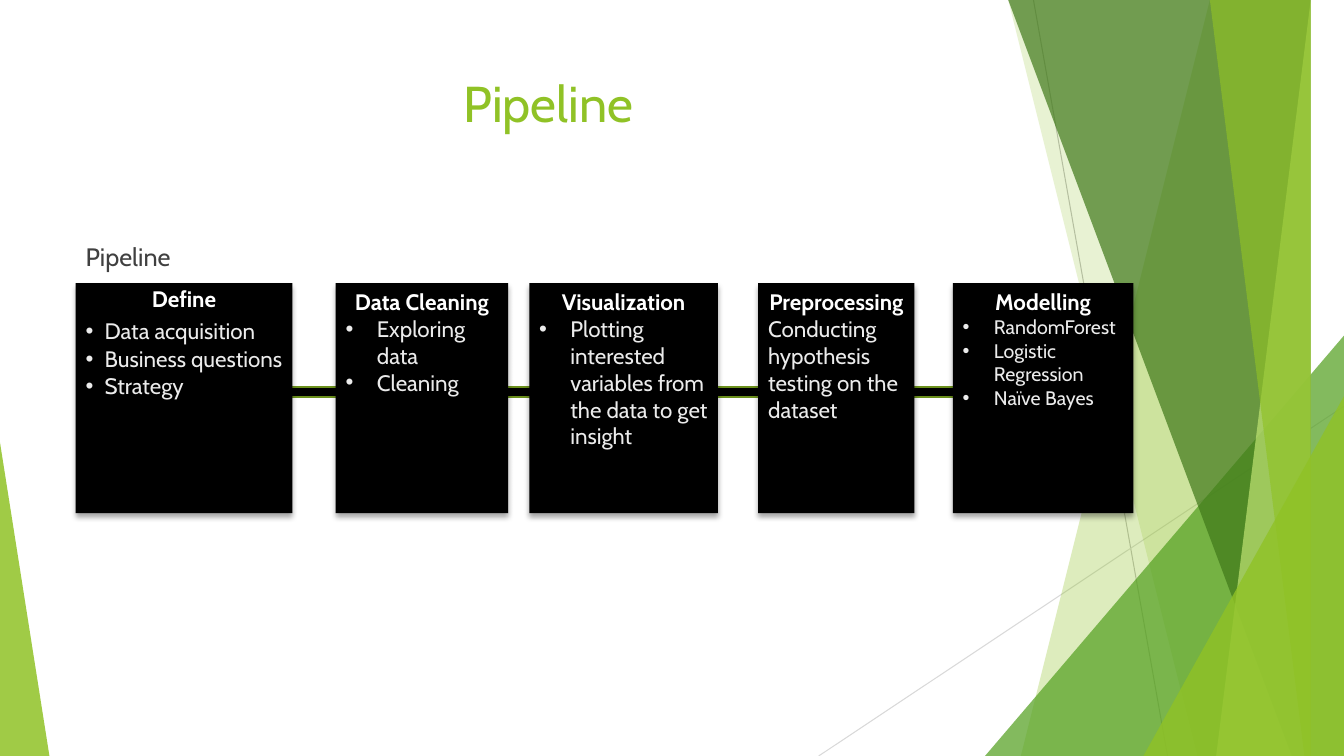
from lxml.etree import SubElement
from pptx import Presentation
from pptx.dml.color import RGBColor
from pptx.enum.shapes import MSO_CONNECTOR, MSO_SHAPE
from pptx.enum.text import MSO_ANCHOR, MSO_AUTO_SIZE, PP_ALIGN
from pptx.oxml.ns import qn
from pptx.util import Inches, Pt

FONT = "Cabin"
LIME = RGBColor(0x90, 0xC2, 0x26)
GREEN = RGBColor(0x54, 0xA0, 0x21)
FOREST = RGBColor(0x3F, 0x78, 0x19)
PALE_LIME = RGBColor(0xC0, 0xE4, 0x74)
OLIVE = RGBColor(0x6B, 0x90, 0x1C)
GRAY = RGBColor(0xBF, 0xBF, 0xBF)
LIGHT_GRAY = RGBColor(0xD9, 0xD9, 0xD9)
DARK_GRAY = RGBColor(0x40, 0x40, 0x40)
BLACK = RGBColor(0, 0, 0)
WHITE = RGBColor(0xFF, 0xFF, 0xFF)
OFF_WHITE = RGBColor(0xEB, 0xEB, 0xEB)


def write(frame, text, size=16, color=OFF_WHITE, bold=False, align=PP_ALIGN.LEFT,
          indent=0, before=0, after=0, spacing=1.0):
    paragraph = frame.paragraphs[0]
    if paragraph.runs:
        paragraph = frame.add_paragraph()
    paragraph.alignment = align
    paragraph.line_spacing = spacing
    paragraph.space_before = Pt(before)
    paragraph.space_after = Pt(after)
    properties = paragraph._p.get_or_add_pPr()
    properties.set("marL", str(Inches(indent)))
    properties.set("indent", str(-Inches(indent)))
    if indent:
        SubElement(properties, qn("a:buFont"), typeface="Arial")
        SubElement(properties, qn("a:buChar"), char="•")
    else:
        SubElement(properties, qn("a:buNone"))
    run = paragraph.add_run()
    run.text = text
    run.font.name = FONT
    run.font.size = Pt(size)
    run.font.bold = bold
    run.font.color.rgb = color


def paint(shape, color, opacity=100):
    shape.shadow.inherit = False
    shape.fill.solid()
    shape.fill.fore_color.rgb = color
    shape.line.fill.background()
    if opacity < 100:
        tint = shape._element.spPr.find(qn("a:solidFill"))[0]
        SubElement(tint, qn("a:alpha"), val=str(opacity * 1000))


deck = Presentation()
deck.slide_width = Inches(13.33)
deck.slide_height = Inches(7.5)
slide = deck.slides.add_slide(deck.slide_layouts[1])
shapes = slide.shapes

for start, end, color in [
    ((10.25, 0), (11.58, 7.5), GRAY),
    ((13.33, 4.03), (8.12, 7.5), LIGHT_GRAY),
]:
    ray = shapes.add_connector(MSO_CONNECTOR.STRAIGHT, *map(Inches, start + end))
    ray.line.color.rgb = color
    ray.line.width = Pt(0.75)
    SubElement(ray._element.spPr, qn("a:effectLst"))

TOP, RIGHT, BOTTOM = -0.01, 13.33, 7.5
facets = [
    ("band", (12.28, 10.04), LIME, 30),
    ("band", (10.5, 11.83), LIME, 20),
    ("triangle", (9.77, 3.33, 3.56, 4.17, 1), GREEN, 72),
    ("band", (10.21, 12.91), FOREST, 70),
    ("band", (13.03, 11.92), PALE_LIME, 70),
    ("band", (11.96, 13.18), LIME, 65),
    ("triangle", (11.34, 3.93, 1.99, 3.57, 1), LIME, 80),
    ("triangle", (0, 4.39, 0.49, 3.11, 0), LIME, 85),
]
for outline, measures, color, opacity in facets:
    if outline == "band":
        top_x, bottom_x = measures
        builder = shapes.build_freeform(top_x, TOP, scale=Inches(1))
        builder.add_line_segments([(RIGHT, TOP), (RIGHT, BOTTOM), (bottom_x, BOTTOM)])
        facet = builder.convert_to_shape()
    else:
        *box, apex = measures
        facet = shapes.add_shape(MSO_SHAPE.ISOSCELES_TRIANGLE, *map(Inches, box))
        facet.adjustments[0] = apex
    paint(facet, color, opacity)

heading, caption = shapes.title, slide.placeholders[1]
for holder, box in [(heading, (0.74, 0.67, 9.4, 1.44)), (caption, (0.75, 2.34, 10.68, 2.79))]:
    holder.left, holder.top, holder.width, holder.height = map(Inches, box)
    holder.text_frame.auto_size = MSO_AUTO_SIZE.NONE
    holder.text_frame.vertical_anchor = MSO_ANCHOR.TOP
write(heading.text_frame, "Pipeline", size=36, color=LIME, align=PP_ALIGN.CENTER)
write(caption.text_frame, "Pipeline", size=18, color=DARK_GRAY, before=10)

pipe = shapes.add_shape(MSO_SHAPE.RECTANGLE, Inches(2.78), Inches(3.84), Inches(7.64), Inches(0.1))
paint(pipe, BLACK)
pipe.line.color.rgb = OLIVE
pipe.line.width = Pt(1.5)

loose = {"spacing": 0.9, "after": 5.6}
tight = {"spacing": 0.9, "after": 2.4, "indent": 0.19}
bullet = {"indent": 0.31}
stages = [
    (0.75, 2.15, "Define", loose, ["Data acquisition", "Business questions", "Strategy"], tight),
    (3.33, 1.71, "Data Cleaning", {}, ["Exploring data", "Cleaning"], bullet),
    (5.25, 1.87, "Visualization", {},
     ["Plotting interested variables from the data to get insight"], bullet),
    (7.52, 1.55, "Preprocessing", {}, ["Conducting hypothesis testing on the dataset"], {}),
    (9.45, 1.79, "Modelling", {}, ["RandomForest", "Logistic Regression", "Naïve Bayes"],
     {"indent": 0.31, "size": 14}),
]
for left, width, name, name_format, steps, step_format in stages:
    stage = shapes.add_shape(
        MSO_SHAPE.RECTANGLE, Inches(left), Inches(2.81), Inches(width), Inches(2.28))
    paint(stage, BLACK)
    shadow = SubElement(stage._element.spPr.find(qn("a:effectLst")), qn("a:outerShdw"),
                        blurRad=str(Pt(4)), dist=str(Pt(3)), dir="5400000", rotWithShape="0")
    shade = SubElement(shadow, qn("a:srgbClr"), val=str(BLACK))
    SubElement(shade, qn("a:alpha"), val="35000")
    frame = stage.text_frame
    frame.word_wrap = True
    frame.vertical_anchor = MSO_ANCHOR.TOP
    write(frame, name, color=WHITE, bold=True, align=PP_ALIGN.CENTER, **name_format)
    for step in steps:
        write(frame, step, **step_format)

deck.save("out.pptx")
